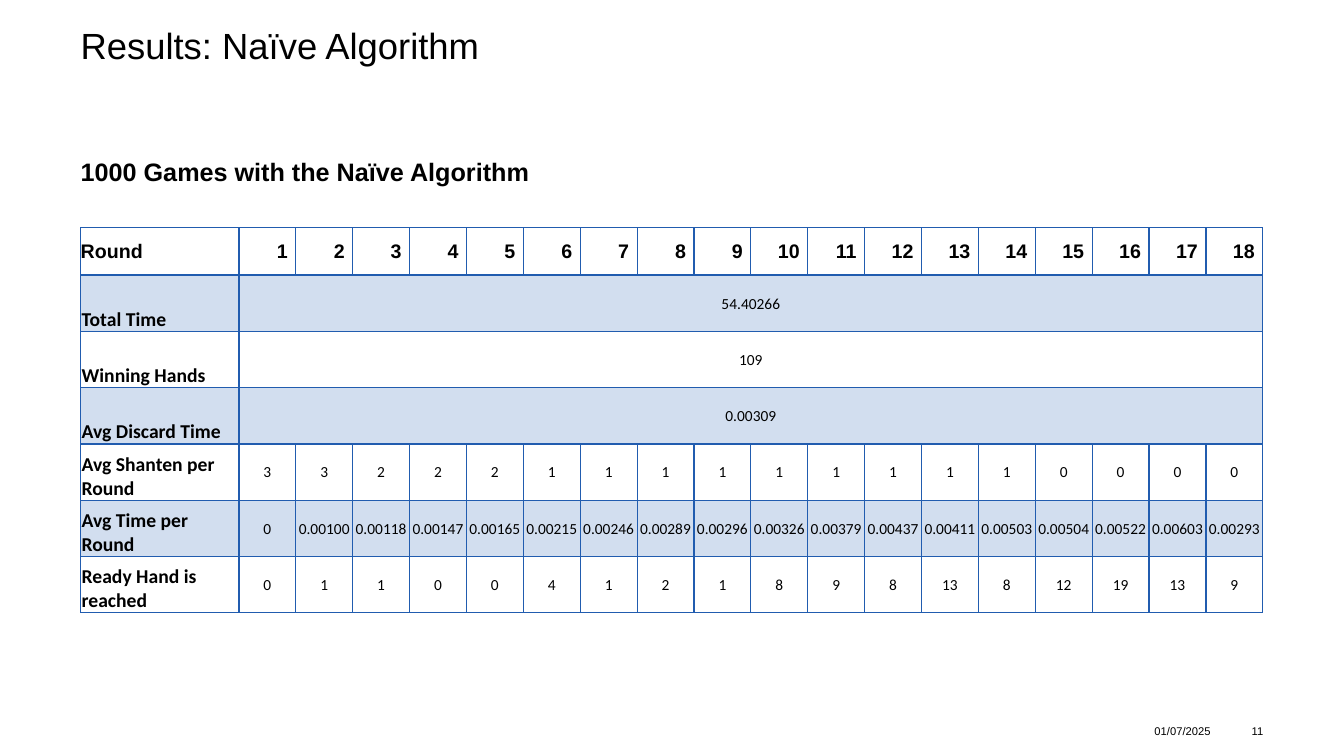
from dataclasses import dataclass

from lxml.etree import SubElement
from pptx import Presentation
from pptx.dml.color import RGBColor
from pptx.enum.text import MSO_ANCHOR, PP_ALIGN
from pptx.oxml.ns import qn
from pptx.slide import Slide
from pptx.table import Table, _Cell
from pptx.text.text import TextFrame
from pptx.util import Inches, Pt


@dataclass(frozen=True)
class Theme:
    ink: str = "000000"
    accent: str = "215CAF"
    band_alpha: int = 20000
    heading_font: str = "Arial"
    table_font: str = "Calibri"
    title_size: int = 26
    subtitle_size: int = 18
    label_size: int = 14
    value_size: int = 11
    footer_size: int = 8
    thin: float = 1
    thick: float = 2


@dataclass(frozen=True)
class TextStyle:
    size: int
    font: str
    bold: bool = False
    align: PP_ALIGN = PP_ALIGN.LEFT
    anchor: MSO_ANCHOR = MSO_ANCHOR.TOP
    line_spacing: float = 1.0


@dataclass(frozen=True)
class Caption:
    text: str
    left: float
    top: float
    width: float
    height: float
    style: TextStyle


@dataclass(frozen=True)
class ResultRow:
    label: str
    values: list[str]
    banded: bool = False


THEME = Theme()
ROUNDS = 18
LEFT, CONTENT_WIDTH = 0.8, 11.73
TABLE_TOP, TABLE_HEIGHT = 2.26, 3.82
LABEL_WIDTH, HEADER_HEIGHT = 1.57, 0.47

HEADER_LABEL = TextStyle(THEME.label_size, THEME.heading_font, True, anchor=MSO_ANCHOR.MIDDLE)
HEADER_ROUND = TextStyle(THEME.label_size, THEME.heading_font, True, PP_ALIGN.RIGHT, MSO_ANCHOR.MIDDLE)
ROW_LABEL = TextStyle(THEME.label_size, THEME.table_font, True, anchor=MSO_ANCHOR.BOTTOM)
ROW_VALUE = TextStyle(THEME.value_size, THEME.table_font, False, PP_ALIGN.CENTER, MSO_ANCHOR.MIDDLE)
FOOTER = TextStyle(THEME.footer_size, THEME.heading_font, anchor=MSO_ANCHOR.MIDDLE)
PAGE_NUMBER = TextStyle(THEME.footer_size, THEME.heading_font, False, PP_ALIGN.RIGHT, MSO_ANCHOR.MIDDLE)

CAPTIONS = [
    Caption("Results: Naïve Algorithm", LEFT, 0.28, CONTENT_WIDTH, 0.98,
            TextStyle(THEME.title_size, THEME.heading_font, line_spacing=0.9)),
    Caption("1000 Games with the Naïve Algorithm", LEFT, 1.55, CONTENT_WIDTH, 0.43,
            TextStyle(THEME.subtitle_size, THEME.heading_font, True)),
    Caption("01/07/2025", 11.45, 7.13, 0.67, 0.24, FOOTER),
    Caption("11", 12.18, 7.13, 0.35, 0.24, PAGE_NUMBER),
]

RESULTS = [
    ResultRow("Total Time", ["54.40266"], True),
    ResultRow("Winning Hands", ["109"]),
    ResultRow("Avg Discard Time", ["0.00309"], True),
    ResultRow("Avg Shanten per Round", "3 3 2 2 2 1 1 1 1 1 1 1 1 1 0 0 0 0".split()),
    ResultRow(
        "Avg Time per Round",
        ("0 0.00100 0.00118 0.00147 0.00165 0.00215 0.00246 0.00289 0.00296 "
         "0.00326 0.00379 0.00437 0.00411 0.00503 0.00504 0.00522 0.00603 0.00293").split(),
        True,
    ),
    ResultRow("Ready Hand is reached", "0 1 1 0 0 4 1 2 1 8 9 8 13 8 12 19 13 9".split()),
]


def write(frame: TextFrame, text: str, style: TextStyle) -> None:
    frame.text = text
    paragraph = frame.paragraphs[0]
    paragraph.alignment = style.align
    paragraph.line_spacing = style.line_spacing
    font = paragraph.runs[0].font
    font.size = Pt(style.size)
    font.name = style.font
    font.bold = style.bold
    font.color.rgb = RGBColor.from_string(THEME.ink)


def add_caption(slide: Slide, caption: Caption) -> None:
    frame = slide.shapes.add_textbox(
        Inches(caption.left), Inches(caption.top), Inches(caption.width), Inches(caption.height)
    ).text_frame
    frame.word_wrap = True
    frame.margin_left = frame.margin_right = frame.margin_top = frame.margin_bottom = 0
    frame.vertical_anchor = caption.style.anchor
    write(frame, caption.text, caption.style)


def set_borders(cell: _Cell, top: float, bottom: float) -> None:
    properties = cell._tc.get_or_add_tcPr()
    widths = {"a:lnL": THEME.thin, "a:lnR": THEME.thin, "a:lnT": top, "a:lnB": bottom}
    for side, width in widths.items():
        border = SubElement(properties, qn(side), w=str(Pt(width)))
        SubElement(SubElement(border, qn("a:solidFill")), qn("a:srgbClr"), val=THEME.accent)


def set_fill(cell: _Cell, banded: bool) -> None:
    if not banded:
        cell.fill.background()
        return
    cell.fill.solid()
    cell.fill.fore_color.rgb = RGBColor.from_string(THEME.accent)
    color = cell._tc.tcPr.find(qn("a:solidFill")).find(qn("a:srgbClr"))
    SubElement(color, qn("a:alpha"), val=str(THEME.band_alpha))


def fill_row(table: Table, index: int, row: ResultRow, label: TextStyle, value: TextStyle) -> None:
    is_header = index == 0
    for cell in table.rows[index].cells:
        set_borders(cell, THEME.thick if index == 1 else THEME.thin,
                    THEME.thick if is_header else THEME.thin)
        set_fill(cell, row.banded)
        cell.margin_left = cell.margin_top = Inches(0 if is_header else 0.01)
        cell.margin_right = Inches(0.08 if is_header else 0.01)
        cell.margin_bottom = 0
    if len(row.values) == 1:
        table.cell(index, 1).merge(table.cell(index, ROUNDS))
    for column, text in enumerate([row.label, *row.values]):
        style = value if column else label
        cell = table.cell(index, column)
        cell.vertical_anchor = style.anchor
        write(cell.text_frame, text, style)


def add_results(slide: Slide) -> None:
    table = slide.shapes.add_table(
        len(RESULTS) + 1, ROUNDS + 1,
        Inches(LEFT), Inches(TABLE_TOP), Inches(CONTENT_WIDTH), Inches(TABLE_HEIGHT),
    ).table
    table.first_row = table.horz_banding = False
    for index, column in enumerate(table.columns):
        column.width = Inches((CONTENT_WIDTH - LABEL_WIDTH) / ROUNDS if index else LABEL_WIDTH)
    for index, row in enumerate(table.rows):
        row.height = Inches((TABLE_HEIGHT - HEADER_HEIGHT) / len(RESULTS) if index else HEADER_HEIGHT)
    header = ResultRow("Round", [str(number) for number in range(1, ROUNDS + 1)])
    fill_row(table, 0, header, HEADER_LABEL, HEADER_ROUND)
    for index, result in enumerate(RESULTS, start=1):
        fill_row(table, index, result, ROW_LABEL, ROW_VALUE)


def main() -> None:
    presentation = Presentation()
    presentation.slide_width = Inches(13.33)
    presentation.slide_height = Inches(7.5)
    slide = presentation.slides.add_slide(presentation.slide_layouts[6])
    for caption in CAPTIONS:
        add_caption(slide, caption)
    add_results(slide)
    presentation.save("out.pptx")


if __name__ == "__main__":
    main()
